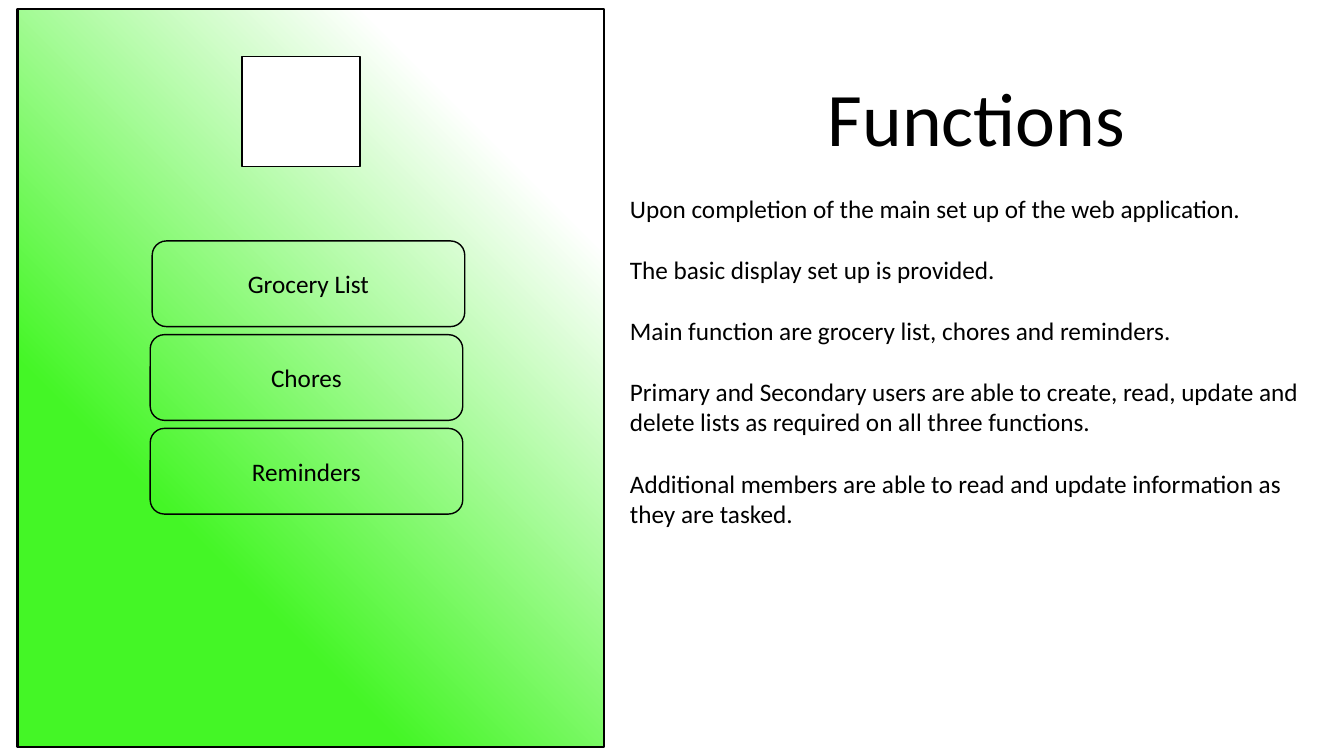
import pptx
import pptx.dml.color
import pptx.enum.shapes
import pptx.enum.text
import pptx.util

Inches = pptx.util.Inches
Pt = pptx.util.Pt
SHAPES = pptx.enum.shapes.MSO_SHAPE
ALIGN = pptx.enum.text.PP_ALIGN
ANCHOR = pptx.enum.text.MSO_ANCHOR

BLACK, WHITE, GREEN = "000000", "FFFFFF", "44F626"
FONT = "Calibri"
BUTTONS = [("Grocery List", 0.02), ("Chores", 0), ("Reminders", 0)]
STATEMENTS = [
    "Upon completion of the main set up of the web application.",
    "The basic display set up is provided.",
    "Main function are grocery list, chores and reminders.",
    "Primary and Secondary users are able to create, read, update and "
    "delete lists as required on all three functions.",
    "Additional members are able to read and update information as "
    "they are tasked.",
]


def rgb(code):
    """Turn a hex string into a colour."""
    return pptx.dml.color.RGBColor.from_string(code)


def format_text(frame, size, align):
    """Wrap a text frame and set alignment, font, size and colour."""
    frame.word_wrap = True
    for paragraph in frame.paragraphs:
        paragraph.alignment = align
        for run in paragraph.runs:
            run.font.name = FONT
            run.font.size = Pt(size)
            run.font.color.rgb = rgb(BLACK)


def add_outlined(slide, kind, left, top, width, height, line_width):
    """Add an unfilled preset shape with a black outline."""
    outlined = slide.shapes.add_shape(
        kind, Inches(left), Inches(top), Inches(width), Inches(height))
    outlined.shadow.inherit = False
    outlined.fill.background()
    outlined.line.color.rgb = rgb(BLACK)
    outlined.line.width = Pt(line_width)
    return outlined


def add_app_screen(slide, left, top, width, height):
    """Draw the app screen: gradient, emblem tile and stacked buttons."""
    screen = add_outlined(slide, SHAPES.RECTANGLE, left, top, width, height, 2)
    screen.fill.gradient()
    screen.fill.gradient_angle = 225
    for stop, (position, code) in zip(
            screen.fill.gradient_stops, [(0.18, WHITE), (0.71, GREEN)]):
        stop.position = position
        stop.color.rgb = rgb(code)

    emblem = add_outlined(slide, SHAPES.RECTANGLE,
                          left + 2.23, top + 0.47, 1.17, 1.09, 1)
    emblem.fill.solid()
    emblem.fill.fore_color.rgb = rgb(WHITE)

    for row, (label, shift) in enumerate(BUTTONS):
        button = add_outlined(slide, SHAPES.ROUNDED_RECTANGLE,
                              left + 1.32 + shift, top + 2.3 + 0.93 * row,
                              3.1, 0.85, 1)
        button.text_frame.text = label
        button.text_frame.vertical_anchor = ANCHOR.MIDDLE
        format_text(button.text_frame, 18, ALIGN.CENTER)


def add_description(slide, left, top, width, height):
    """Place the title with the statements beneath it."""
    title_height = 1.02
    heading = slide.shapes.title
    heading.left, heading.top = Inches(left), Inches(top)
    heading.width, heading.height = Inches(width), Inches(title_height)
    heading.text_frame.text = "Functions"
    heading.text_frame.vertical_anchor = ANCHOR.TOP
    format_text(heading.text_frame, 54, ALIGN.CENTER)

    body_top = title_height + 0.2
    statements = slide.shapes.add_textbox(
        Inches(left), Inches(top + body_top),
        Inches(width), Inches(height - body_top))
    statements.text_frame.text = "\n".join(STATEMENTS)
    format_text(statements.text_frame, 18, ALIGN.LEFT)
    for paragraph in statements.text_frame.paragraphs:
        paragraph.space_after = Pt(22)


def main():
    """Build and save the slide."""
    deck = pptx.Presentation()
    deck.slide_width, deck.slide_height = Inches(13.33), Inches(7.5)
    slide = deck.slides.add_slide(deck.slide_layouts[5])
    add_app_screen(slide, 0.17, 0.09, 5.82, 7.32)
    add_description(slide, 6.15, 0.65, 7.07, 4.64)
    deck.save("out.pptx")


main()
